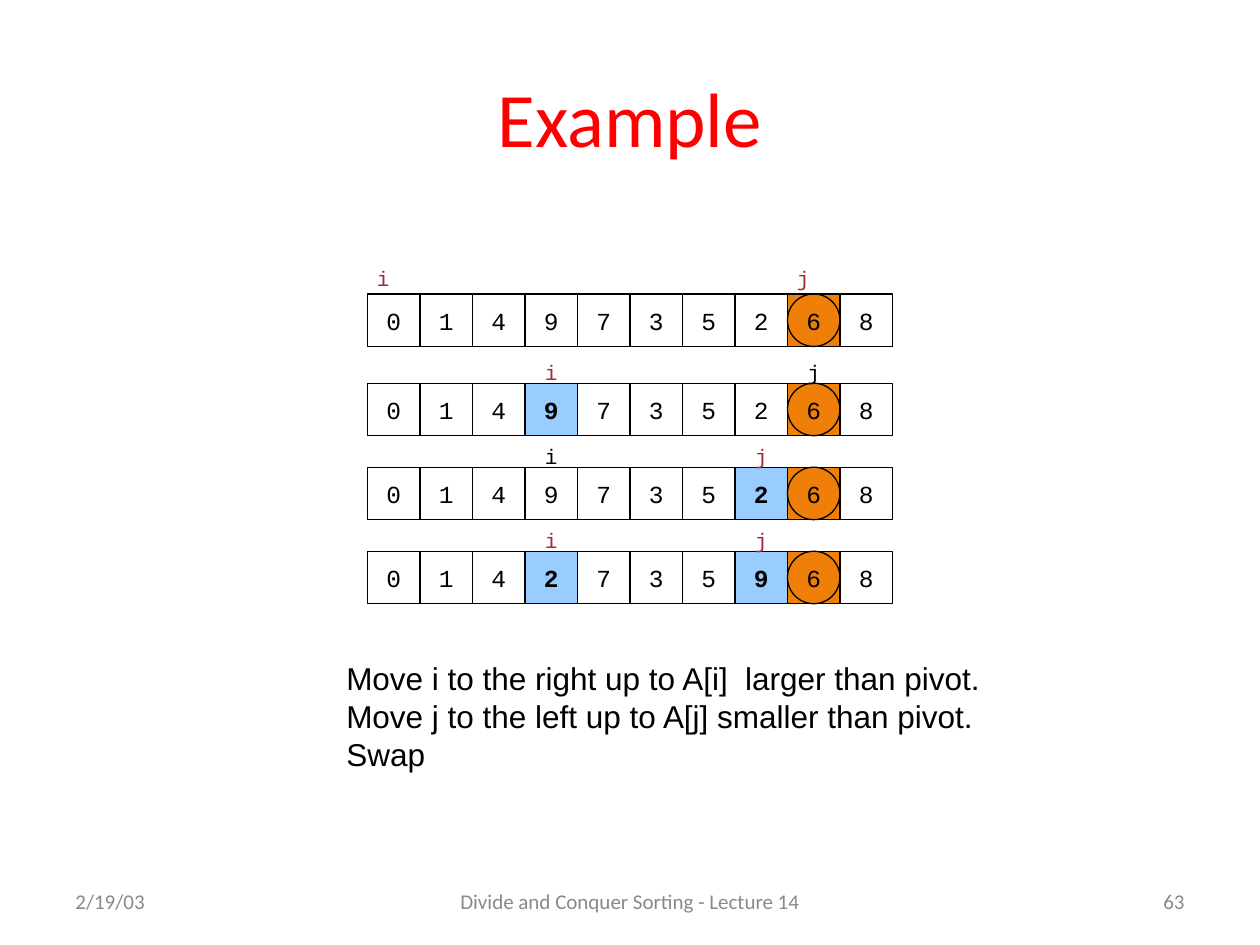
from dataclasses import dataclass
from typing import Optional

from pptx import Presentation
from pptx.dml.color import RGBColor
from pptx.enum.shapes import MSO_SHAPE as Preset
from pptx.enum.text import MSO_ANCHOR as Anchor, MSO_AUTO_SIZE as AutoSize, PP_ALIGN as Align
from pptx.util import Emu, Pt

PX = 7620  # EMU per px, 120 px to the inch


@dataclass(frozen=True)
class Theme:
    ink: str = "000000"
    title: str = "FF0000"
    footer: str = "898989"
    moved: str = "9F2936"
    pivot: str = "F07F09"
    highlight: str = "99CCFF"
    heading_font: str = "Calibri"
    body_font: str = "Arial"
    code_font: str = "Courier New"
    title_size: int = 44
    body_size: int = 18
    cell_size: int = 14
    small_size: int = 12
    line_width: float = 0.75


@dataclass(frozen=True)
class Box:
    left: int
    top: int
    width: int
    height: int

    def emu(self) -> tuple:
        return tuple(Emu(n * PX) for n in (self.left, self.top, self.width, self.height))


@dataclass(frozen=True)
class Style:
    font: str
    size: int
    color: str
    align: Align = Align.CENTER
    anchor: Anchor = Anchor.MIDDLE
    wrap: bool = False
    bold: bool = False


@dataclass(frozen=True)
class Marker:
    name: str
    column: int
    color: str


@dataclass(frozen=True)
class Step:
    """One state of the array; swapped lists the highlighted columns."""
    top: int
    values: str
    markers: tuple[Marker, ...]
    swapped: tuple[int, ...] = ()
    marker_shift: int = 0
    marker_rise: int = 36


THEME = Theme()
CELL = 50
ARRAY_LEFT = 350
PIVOT_COLUMN = 8

STEPS = (
    Step(280, "0149735268",
         (Marker("i", 0, THEME.moved), Marker("j", 8, THEME.moved)),
         marker_shift=-10, marker_rise=40),
    Step(365, "0149735268",
         (Marker("i", 3, THEME.moved), Marker("j", 8, THEME.ink)), (3,)),
    Step(445, "0149735268",
         (Marker("i", 3, THEME.ink), Marker("j", 7, THEME.moved)), (7,)),
    Step(525, "0142735968",
         (Marker("i", 3, THEME.moved), Marker("j", 7, THEME.moved)), (3, 7)),
)

FOOTERS = (
    ("2/19/03", Box(60, 834, 280, 48), Align.LEFT),
    ("Divide and Conquer Sorting - Lecture 14", Box(410, 834, 380, 48), Align.CENTER),
    ("63", Box(860, 834, 280, 48), Align.RIGHT),
)

EXPLANATION = (
    "Move i to the right up to A[i]  larger than pivot.\n"
    "Move j to the left up to A[j] smaller than pivot.\n"
    "Swap"
)


def write(frame, text: str, style: Style) -> None:
    frame.text = text
    frame.word_wrap = style.wrap
    frame.vertical_anchor = style.anchor
    for paragraph in frame.paragraphs:
        paragraph.alignment = style.align
        paragraph.font.name = style.font
        paragraph.font.size = Pt(style.size)
        paragraph.font.bold = style.bold
        paragraph.font.color.rgb = RGBColor.from_string(style.color)


def add_label(slide, text: str, box: Box, style: Style):
    label = slide.shapes.add_textbox(*box.emu())
    write(label.text_frame, text, style)
    return label


def add_outline(slide, preset: Preset, box: Box, fill: Optional[str] = None):
    outline = slide.shapes.add_shape(preset, *box.emu())
    outline.shadow.inherit = False
    if fill:
        outline.fill.solid()
        outline.fill.fore_color.rgb = RGBColor.from_string(fill)
    else:
        outline.fill.background()
    outline.line.color.rgb = RGBColor.from_string(THEME.ink)
    outline.line.width = Pt(THEME.line_width)
    return outline


def cell_box(column: int, top: int, shift: int = 0) -> Box:
    return Box(ARRAY_LEFT + column * CELL + shift, top, CELL, CELL)


def add_step(slide, step: Step) -> None:
    for column, value in enumerate(step.values):
        swapped = column in step.swapped
        fill = THEME.highlight if swapped else None
        if column == PIVOT_COLUMN:
            fill = THEME.pivot
        cell = add_outline(slide, Preset.RECTANGLE, cell_box(column, step.top), fill)
        write(cell.text_frame, value,
              Style(THEME.code_font, THEME.cell_size, THEME.ink, bold=swapped))
    add_outline(slide, Preset.OVAL, cell_box(PIVOT_COLUMN, step.top))
    for marker in step.markers:
        box = cell_box(marker.column, step.top - step.marker_rise, step.marker_shift)
        add_label(slide, marker.name, box,
                  Style(THEME.code_font, THEME.small_size, marker.color))


def main() -> None:
    deck = Presentation()
    deck.slide_width, deck.slide_height = Emu(1200 * PX), Emu(900 * PX)
    slide = deck.slides.add_slide(deck.slide_layouts[6])

    for text, box, align in FOOTERS:
        add_label(slide, text, box,
                  Style(THEME.heading_font, THEME.small_size, THEME.footer, align, wrap=True))
    add_label(slide, "Example", Box(60, 36, 1080, 150),
              Style(THEME.heading_font, THEME.title_size, THEME.title, wrap=True))
    for step in STEPS:
        add_step(slide, step)
    explanation = add_label(slide, EXPLANATION, Box(318, 622, 695, 132),
                            Style(THEME.body_font, THEME.body_size, THEME.ink,
                                  Align.LEFT, Anchor.TOP))
    explanation.text_frame.auto_size = AutoSize.SHAPE_TO_FIT_TEXT

    deck.save("out.pptx")


if __name__ == "__main__":
    main()
